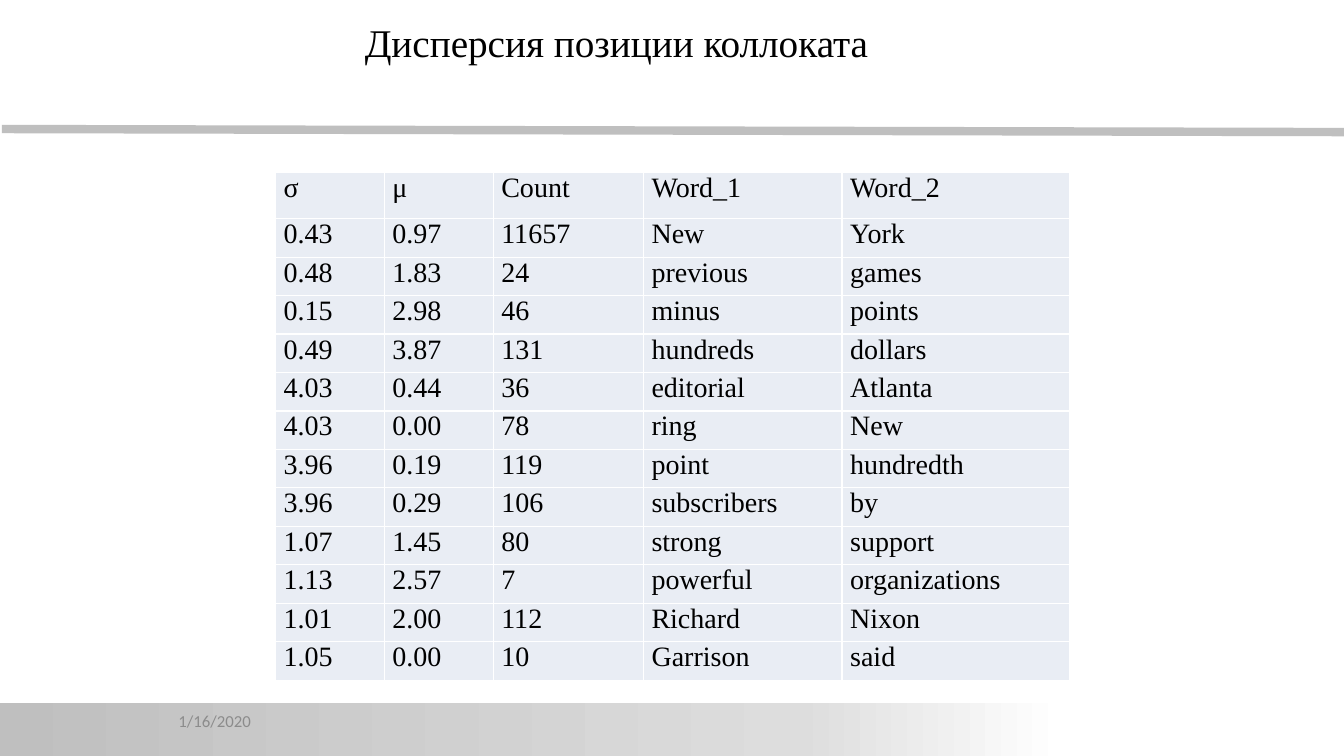
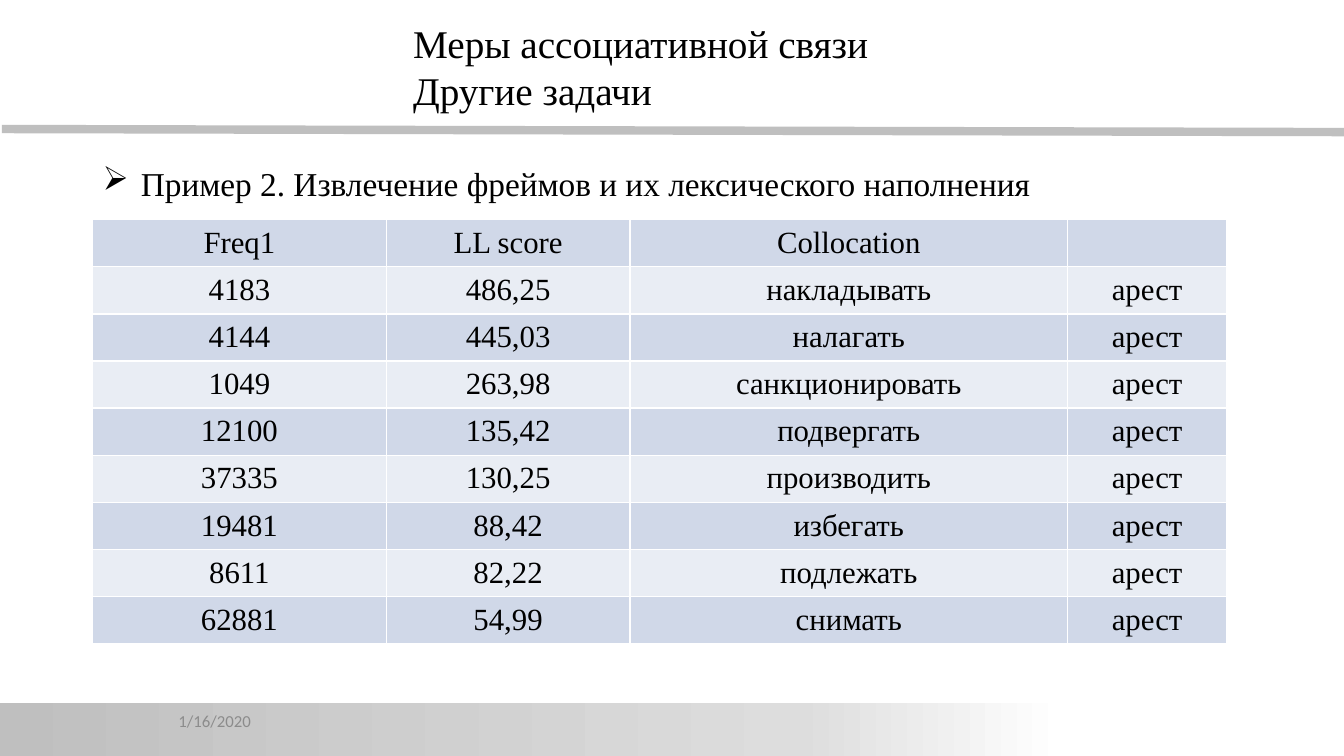
from copy import deepcopy

from pptx import Presentation
from pptx import util as u
from pptx.dml.color import RGBColor
from pptx.enum import shapes, text
from pptx.oxml import ns, xmlchemy

BLACK, WHITE = "000000", "FFFFFF"
RULE_GREY, BAND_GREY, DATE_GREY = "BFBFBF", "DDDDDD", "8C8C8C"
PALE, BLUE = "E9EDF4", "D0D8E8"
SERIF, SANS = "Times New Roman", "Calibri"


def colour(value):
    return RGBColor.from_string(value)


def add_child(parent, tag, **attributes):
    child = xmlchemy.OxmlElement(tag)
    for key, value in attributes.items():
        child.set(key, value)
    parent.append(child)
    return child


class Deck:
    def __init__(self):
        self.prs = Presentation()
        self.prs.slide_width = u.Inches(13.33)
        self.prs.slide_height = u.Inches(7.5)
        self.slide = None

    def x(self, percent):
        return round(self.prs.slide_width * percent / 100)

    def y(self, percent):
        return round(self.prs.slide_height * percent / 100)

    def area(self, left, top, width, height):
        return self.x(left), self.y(top), self.x(width), self.y(height)

    def new_slide(self):
        self.slide = self.prs.slides.add_slide(self.prs.slide_layouts[6])
        self.rule()
        self.band()
        self.date("1/16/2020")

    def rule(self):
        rule = self.slide.shapes.add_connector(
            shapes.MSO_CONNECTOR.STRAIGHT,
            self.x(0.15), self.y(17.07), self.x(100), self.y(17.47))
        rule.line.color.rgb = colour(RULE_GREY)
        rule.line.width = u.Pt(6)
        add_child(rule._element.spPr, "a:effectLst")

    def band(self):
        band = self.slide.shapes.add_shape(
            shapes.MSO_SHAPE.RECTANGLE, *self.area(0, 92.93, 79.13, 7.07))
        band.shadow.inherit = False
        band.line.fill.background()
        band.fill.gradient()
        band.fill.gradient_angle = 0
        stops = band._element.spPr.find(".//" + ns.qn("a:gsLst"))
        stops.insert(1, deepcopy(stops[0]))
        shades = [(0, RULE_GREY), (0.75, BAND_GREY), (1, WHITE)]
        for stop, (position, shade) in zip(band.fill.gradient_stops, shades):
            stop.position = position
            stop.color.rgb = colour(shade)

    def style(self, paragraph, size, shade=BLACK, font=SERIF):
        for run in paragraph.runs:
            run.font.size = u.Pt(size)
            run.font.name = font
            run.font.color.rgb = colour(shade)

    def text_box(self, area, words, size, shade=BLACK, font=SERIF):
        frame = self.slide.shapes.add_textbox(*self.area(*area)).text_frame
        frame.word_wrap = True
        frame.text = words
        for paragraph in frame.paragraphs:
            self.style(paragraph, size, shade, font)
        return frame

    def date(self, words):
        frame = self.text_box((12.53, 92.67, 17.5, 5.33), words, 12, DATE_GREY, SANS)
        frame.vertical_anchor = text.MSO_ANCHOR.MIDDLE

    def title(self, area, words):
        frame = self.text_box(area, words, 28)
        frame.auto_size = text.MSO_AUTO_SIZE.SHAPE_TO_FIT_TEXT

    def bullet(self, area, words):
        frame = self.text_box(area, words, 23.8)
        indent = u.Inches(0.38)
        properties = frame.paragraphs[0]._p.get_or_add_pPr()
        properties.set("marL", str(indent))
        properties.set("indent", str(-indent))
        add_child(properties, "a:buChar", char="➢")

    def borders(self, cell):
        properties = cell._tc.get_or_add_tcPr()
        for side in ("a:lnL", "a:lnR", "a:lnT", "a:lnB"):
            edge = add_child(properties, side, w=str(u.Pt(1)))
            add_child(add_child(edge, "a:solidFill"), "a:srgbClr", val=WHITE)

    def table(self, left, top, widths, heights, rows, size, fills, centred=False):
        grid = self.slide.shapes.add_table(
            len(rows), len(widths),
            *self.area(left, top, sum(widths), sum(heights))).table
        grid.first_row = grid.horz_banding = False
        for column, width in zip(grid.columns, widths):
            column.width = self.x(width)
        for number, (row, height, values) in enumerate(zip(grid.rows, heights, rows)):
            row.height = self.y(height)
            for cell, value in zip(row.cells, values):
                self.borders(cell)
                cell.fill.solid()
                cell.fill.fore_color.rgb = colour(fills[number % len(fills)])
                cell.text_frame.text = value
                paragraph = cell.text_frame.paragraphs[0]
                self.style(paragraph, size)
                if centred:
                    cell.vertical_anchor = text.MSO_ANCHOR.MIDDLE
                    paragraph.alignment = text.PP_ALIGN.CENTER
                else:
                    cell.margin_left = cell.margin_right = u.Inches(0.08)
                    cell.margin_top = cell.margin_bottom = 0


DISPERSION = [
    ("σ", "μ", "Сount", "Word_1", "Word_2"),
    ("0.43", "0.97", "11657", "New", "York"),
    ("0.48", "1.83", "24", "previous", "games"),
    ("0.15", "2.98", "46", "minus", "points"),
    ("0.49", "3.87", "131", "hundreds", "dollars"),
    ("4.03", "0.44", "36", "editorial", "Atlanta"),
    ("4.03", "0.00", "78", "ring", "New"),
    ("3.96", "0.19", "119", "point", "hundredth"),
    ("3.96", "0.29", "106", "subscribers", "by"),
    ("1.07", "1.45", "80", "strong", "support"),
    ("1.13", "2.57", "7", "powerful", "organizations"),
    ("1.01", "2.00", "112", "Richard", "Nixon"),
    ("1.05", "0.00", "10", "Garrison", "said"),
]

ARREST_VERBS = [
    ("4183", "486,25", "накладывать"),
    ("4144", "445,03", "налагать"),
    ("1049", "263,98", "санкционировать"),
    ("12100", "135,42", "подвергать"),
    ("37335", "130,25", "производить"),
    ("19481", "88,42", "избегать"),
    ("8611", "82,22", "подлежать"),
    ("62881", "54,99", "снимать"),
]


def main():
    deck = Deck()

    deck.new_slide()
    deck.title((26.4, 1.73, 57.75, 7.6), "Дисперсия позиции коллоката")
    deck.table(20.5, 22.8, [8.1, 8.1, 11.18, 14.78, 16.95],
               [6.13] + [5.09] * 12, DISPERSION, 20, [PALE])

    deck.new_slide()
    deck.title((30, 1.87, 43.75, 13.87), "Меры ассоциативной связи\nДругие задачи")
    deck.bullet((6.9, 20.9, 76.5, 6.4),
                "Пример 2. Извлечение фреймов и их лексического наполнения")
    frames = [("Freq1", "LL score", "Collocation", "")]
    frames += [(*verb, "арест") for verb in ARREST_VERBS]
    deck.table(6.9, 29.07, [21.83, 18.15, 32.55, 11.85],
               [6.22] * 9, frames, 22, [BLUE, PALE], centred=True)

    deck.prs.save("out.pptx")


if __name__ == "__main__":
    main()
